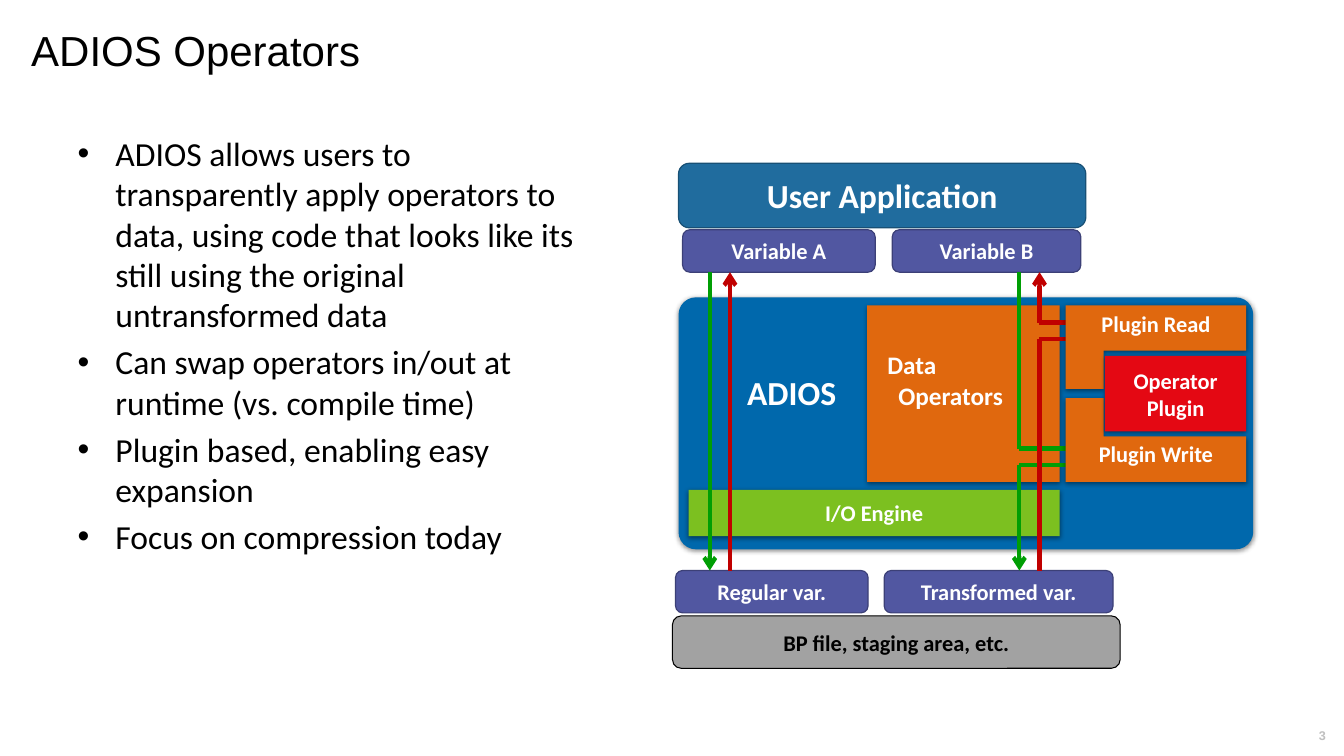
from lxml import etree
from pptx import Presentation
from pptx.dml.color import RGBColor
from pptx.enum.shapes import MSO_CONNECTOR, MSO_SHAPE as SHAPE
from pptx.enum.text import MSO_ANCHOR as ANCHOR, MSO_AUTO_SIZE, PP_ALIGN as ALIGN
from pptx.oxml import parse_xml
from pptx.oxml.ns import nsdecls, qn
from pptx.util import Inches, Pt

BLACK = RGBColor(0x00, 0x00, 0x00)
WHITE = RGBColor(0xFF, 0xFF, 0xFF)
LIGHT_GRAY = RGBColor(0xBF, 0xBF, 0xBF)
GRAY = RGBColor(0xA2, 0xA2, 0xA2)
STEEL = RGBColor(0x20, 0x6C, 0x9E)
STEEL_EDGE = RGBColor(0x18, 0x50, 0x75)
BLUE = RGBColor(0x00, 0x68, 0xAC)
PURPLE = RGBColor(0x51, 0x57, 0xA1)
PURPLE_EDGE = RGBColor(0x3C, 0x40, 0x77)
LIME = RGBColor(0x7C, 0xC0, 0x20)
ORANGE = RGBColor(0xE0, 0x68, 0x0E)
RED = RGBColor(0xE4, 0x08, 0x13)
WRITE_GREEN = RGBColor(0x00, 0x9E, 0x04)
READ_RED = RGBColor(0xC0, 0x00, 0x00)

SHADOW = (f'<a:effectLst {nsdecls("a")}><a:outerShdw blurRad="44450" dist="13970" '
          'dir="5400000" rotWithShape="0"><a:srgbClr val="000000"><a:alpha val="45000"/>'
          '</a:srgbClr></a:outerShdw></a:effectLst>')


def add_box(kind, at, fill, text="", size=16, color=WHITE, edge=None, edge_width=0.85,
            align=ALIGN.CENTER):
    """Add a filled box with bold text; a box without an edge casts a soft shadow."""
    s = slide.shapes.add_shape(kind, *map(Inches, at))
    s.fill.solid()
    s.fill.fore_color.rgb = fill
    s.shadow.inherit = False
    if edge is None:
        s.line.fill.background()
        s._element.spPr.remove(s._element.spPr.find(qn("a:effectLst")))
        s._element.spPr.append(parse_xml(SHADOW))
    else:
        s.line.color.rgb = edge
        s.line.width = Pt(edge_width)
    tf = s.text_frame
    tf.word_wrap = True
    tf.vertical_anchor = ANCHOR.MIDDLE
    for i, line in enumerate(text.split("\n") if text else []):
        p = tf.add_paragraph() if i else tf.paragraphs[0]
        p.alignment = align
        r = p.add_run()
        r.text = line
        r.font.name, r.font.size, r.font.bold = "Calibri", Pt(size), True
        r.font.color.rgb = color
    return s


def add_flow(x1, y1, x2, y2, color, arrow=False):
    c = slide.shapes.add_connector(MSO_CONNECTOR.STRAIGHT, *map(Inches, (x1, y1, x2, y2)))
    c.line.color.rgb = color
    c.line.width = Pt(3)
    if arrow:
        etree.SubElement(c._element.spPr.find(qn("a:ln")), qn("a:tailEnd"), type="arrow")
    etree.SubElement(c._element.spPr, qn("a:effectLst"))


prs = Presentation()
prs.slide_width, prs.slide_height = Inches(13.33), Inches(7.5)
slide = prs.slides.add_slide(prs.slide_layouts[1])

# Title
title = slide.shapes.title
title.left, title.top, title.width, title.height = map(Inches, (0.21, 0.25, 12.88, 0.99))
tf = title.text_frame
tf.vertical_anchor = ANCHOR.TOP
tf.auto_size = MSO_AUTO_SIZE.NONE
p = tf.paragraphs[0]
p.alignment = ALIGN.LEFT
p.line_spacing = 0.9
r = p.add_run()
r.text = "ADIOS Operators"
r.font.name, r.font.size = "Arial", Pt(30)
r.font.color.rgb = BLACK

# Bullet list
body = slide.placeholders[1]
body.left, body.top, body.width, body.height = map(Inches, (0.67, 1.27, 5.33, 4.84))
tf = body.text_frame
tf.auto_size = MSO_AUTO_SIZE.NONE
bullets = [
    "ADIOS allows users to transparently apply operators to data, using code that looks "
    "like its still using the original untransformed data",
    "Can swap operators in/out at runtime (vs. compile time)",
    "Plugin based, enabling easy expansion",
    "Focus on compression today",
]
for i, bullet in enumerate(bullets):
    p = tf.add_paragraph() if i else tf.paragraphs[0]
    r = p.add_run()
    r.text = bullet
    r.font.name, r.font.size = "Calibri", Pt(24)
    r.font.color.rgb = BLACK

# Application, ADIOS layer and storage
add_box(SHAPE.ROUNDED_RECTANGLE, (6.73, 1.62, 4.04, 0.64), STEEL, "User Application", 24,
        edge=STEEL_EDGE)
adios = add_box(SHAPE.ROUNDED_RECTANGLE, (6.73, 2.95, 5.7, 2.5), BLUE, "ADIOS", 24,
                align=ALIGN.LEFT)
adios.adjustments[0] = 0.069
adios.text_frame.margin_left = Inches(0.63)
adios.text_frame.margin_bottom = Inches(0.67)
add_box(SHAPE.RECTANGLE, (6.83, 4.86, 3.68, 0.46), LIME, "I/O Engine")
operators = add_box(SHAPE.RECTANGLE, (8.6, 3.03, 1.91, 1.75), ORANGE, "Data\nOperators", 18,
                    align=ALIGN.LEFT)
operators.text_frame.margin_left = Inches(0.2)
operators.text_frame.margin_bottom = Inches(0.32)
operators.text_frame.paragraphs[1]._p.get_or_add_pPr().set("marL", str(Inches(0.11)))
add_box(SHAPE.ROUNDED_RECTANGLE, (6.67, 6.11, 4.44, 0.52), GRAY, "BP file, staging area, etc.",
        color=BLACK, edge=BLACK, edge_width=0.75)

# Variables above and below the ADIOS layer
for name, x, y, w in [("Variable A", 6.77, 2.28, 1.91), ("Variable B", 8.85, 2.28, 1.87),
                      ("Regular var.", 6.7, 5.66, 1.91), ("Transformed var.", 8.77, 5.66, 2.27)]:
    add_box(SHAPE.ROUNDED_RECTANGLE, (x, y, w, 0.42), PURPLE, name, edge=PURPLE_EDGE)

# Data flow: green writes down, red reads up
VAR_BOTTOM, VAR_TOP, PLUGIN_X = 2.7, 5.66, 10.57
WRITE_X, READ_X = 10.11, 10.31
add_flow(7.04, VAR_BOTTOM, 7.04, VAR_TOP, WRITE_GREEN, arrow=True)
add_flow(7.24, VAR_TOP, 7.24, VAR_BOTTOM, READ_RED, arrow=True)
for x, y, color in [(READ_X, 3.2, READ_RED), (READ_X, 3.36, READ_RED),
                    (WRITE_X, 4.45, WRITE_GREEN), (WRITE_X, 4.61, WRITE_GREEN)]:
    add_flow(x, y, PLUGIN_X, y, color)
add_flow(READ_X, 3.2, READ_X, VAR_BOTTOM, READ_RED, arrow=True)
add_flow(WRITE_X, VAR_BOTTOM, WRITE_X, 4.45, WRITE_GREEN)
add_flow(READ_X, VAR_TOP, READ_X, 3.36, READ_RED)
add_flow(WRITE_X, 4.61, WRITE_X, VAR_TOP, WRITE_GREEN, arrow=True)

# Plugin brackets around the operator plugin
read_bracket, write_bracket = [
    add_box(SHAPE.CORNER, (PLUGIN_X, y, 1.79, 0.83), ORANGE) for y in (3.03, 3.95)]
read_bracket._element.spPr.find(qn("a:xfrm")).set("flipV", "1")
for bracket in (read_bracket, write_bracket):
    bracket.adjustments[0] = 0.542
    bracket.adjustments[1] = 0.454
add_box(SHAPE.RECTANGLE, (10.96, 3.53, 1.4, 0.75), RED, "Operator Plugin")

# Plugin labels and slide number
for label, at, font, size, color in [
        ("Plugin Read", (PLUGIN_X, 3.03, 1.79, 0.37), "Calibri", 16, WHITE),
        ("Plugin Write", (PLUGIN_X, 4.31, 1.79, 0.37), "Calibri", 16, WHITE),
        ("3", (12.96, 7.21, 0.31, 0.17), "Arial", 9, LIGHT_GRAY)]:
    tf = slide.shapes.add_textbox(*map(Inches, at)).text_frame
    tf.word_wrap = True
    tf.vertical_anchor = ANCHOR.MIDDLE
    tf.margin_top = tf.margin_bottom = 0
    p = tf.paragraphs[0]
    p.alignment = ALIGN.CENTER
    r = p.add_run()
    r.text = label
    r.font.name, r.font.size, r.font.bold = font, Pt(size), True
    r.font.color.rgb = color

prs.save("out.pptx")
